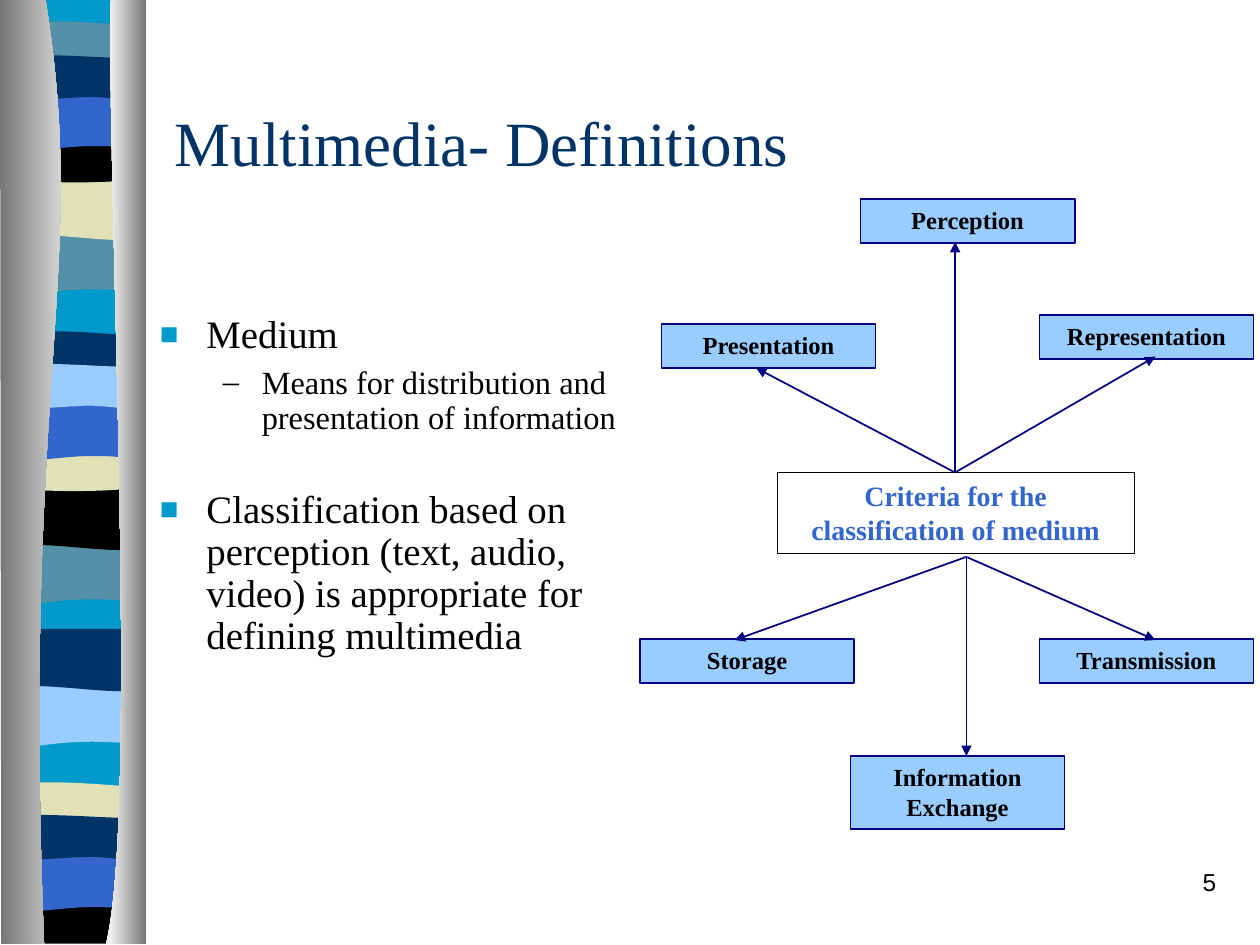
"""Build the Multimedia Definitions slide with its ribbon border and medium diagram."""
from lxml import etree
from pptx import Presentation
from pptx.dml.color import RGBColor
from pptx.enum.shapes import MSO_CONNECTOR, MSO_SHAPE
from pptx.enum.text import MSO_ANCHOR, PP_ALIGN
from pptx.oxml.ns import qn
from pptx.util import Inches, Pt

RECTANGLE = MSO_SHAPE.RECTANGLE
STRAIGHT = MSO_CONNECTOR.STRAIGHT
MIDDLE, TOP = MSO_ANCHOR.MIDDLE, MSO_ANCHOR.TOP
LEFT, CENTER, RIGHT = PP_ALIGN.LEFT, PP_ALIGN.CENTER, PP_ALIGN.RIGHT

THEME = {
    "serif": "Times New Roman", "sans": "Arial",
    "title": 36, "body": 22.2, "detail": 18.5, "criteria": 16, "label": 14,
    "cyan": "0099CC", "teal": "5490A8", "sand": "E1E1B7", "black": "000000",
    "blue": "3366CC", "navy": "003366", "sky": "99CCFF", "white": "FFFFFF",
    "grey": "767676", "outline": "000080",
}
COLORS = {name: RGBColor.from_string(value) for name, value in THEME.items()
          if isinstance(value, str) and len(value) == 6}


def write(para, text, size, color, face="serif", bold=False, **layout):
    span = para.add_run()
    span.text = text
    style = {"size": Pt(THEME[size]), "name": THEME[face], "bold": bold}
    for name, value in style.items():
        setattr(span.font, name, value)
    span.font.color.rgb = COLORS[color]
    for name, value in layout.items():
        setattr(para, name, value)


def draw_outline(page, steps, left, top):
    points = [step[i:i + 2] for step in steps for i in range(0, len(step), 2)]
    placed = [(Inches(left + x), Inches(top + y)) for x, y in points]
    builder = page.shapes.build_freeform(*placed[0])
    builder.add_line_segments(placed[1:], close=True)
    shape = builder.convert_to_shape()
    shape.shadow.inherit = False
    shape.line.fill.background()
    segments = iter(list(shape._element.iter(qn("a:lnTo"))))
    for step in steps[1:]:
        segment = next(segments)
        if len(step) == 6:
            segment.tag = qn("a:cubicBezTo")
            for _ in range(2):
                extra = next(segments)
                segment.append(extra[0])
                extra.getparent().remove(extra)
    return shape


deck = Presentation()
deck.slide_width, deck.slide_height = Inches(10), Inches(7.5)
page = deck.slides.add_slide(deck.slide_layouts[6])

PROFILES = {
    "plain": [(1.08, 0), (1.08, 7.48), (0, 7.48), (0, 0), (1.08, 0)],
    "wave": [(1.08, 0), (1.08, 0, 1.08, 0.47, 1.08, 0.47),
             (0.33, 0.39, 0.18, 0.55, 0, 0.47), (0, 0), (1.08, 0)],
    "swell": [(1.08, 0), (1.08, 0.47), (0.9, 0.55, 0.33, 0.41, 0, 0.47), (0, 0), (1.08, 0)],
    "lens": [(1.08, 0.05), (1.08, 0.29), (0.9, 0.33, 0.18, 0.33, 0, 0.29), (0, 0.05),
             (0.07, 0, 0.23, 0.01, 0.41, 0.01), (0.59, 0.01, 0.94, 0.04, 1.08, 0.05)],
    "sag": [(1.08, 0), (1.08, 0.33), (0.9, 0.38, 0.18, 0.38, 0, 0.33), (0, 0),
            (0.66, 0.05, 0.85, 0, 1.08, 0)],
    "arch": [(1.08, 0), (1.08, 0, 1.08, 0.47, 1.08, 0.47),
             (0.91, 0.42, 0.84, 0.42, 0.66, 0.42),
             (0.48, 0.42, 0.16, 0.47, 0, 0.47), (0, 0), (1.08, 0)],
    "ripple": [(1.08, 0.05), (1.08, 0.36), (1.01, 0.41, 0.84, 0.36, 0.66, 0.36),
               (0.48, 0.36, 0.11, 0.41, 0, 0.36), (0, 0.05),
               (0.15, 0, 0.73, 0.05, 0.91, 0.05), (1.09, 0.05, 1.04, 0.05, 1.08, 0.05)],
    "foot": [(1.08, 0), (1.09, 0.37), (0.02, 0.37), (0, 0), (0.67, 0.05, 0.86, 0, 1.08, 0)],
}
BANDS = {
    0.06: [("plain", -0.01, "cyan"),
           ("wave", 1.85, "teal"), ("swell", 1.41, "sand"), ("lens", 0.16, "teal"),
           ("sag", 1.08, "black"), ("arch", 0.74, "blue"), ("ripple", 0.41, "navy")],
    0.05: [("wave", 4.31, "teal"), ("swell", 3.87, "black"), ("lens", 2.62, "navy"),
           ("sag", 3.53, "sand"), ("arch", 3.2, "blue"), ("ripple", 2.86, "sky"),
           ("wave", 5.44, "sky"), ("swell", 4.99, "navy"), ("lens", 6.2, "sand"),
           ("foot", 7.12, "black"), ("arch", 6.78, "blue"), ("ripple", 6.44, "navy")],
}
for left, bands in BANDS.items():
    for profile, top, color in bands:
        band = draw_outline(page, PROFILES[profile], left, top)
        band.fill.solid()
        band.fill.fore_color.rgb = COLORS[color]

EDGES = [
    ([(0.36, 0), (0.71, 2.17, 0.17, 2.97, 0.35, 7.5), (0.01, 7.5), (0, 0), (0.36, 0)],
     "grey", "white"),
    ([(0.88, 0), (0.84, 1.26, 1.11, 6.47, 0.84, 7.5), (1.16, 7.5), (1.16, 0), (0.88, 0)],
     "white", "grey"),
]
for steps, *colors in EDGES:
    edge = draw_outline(page, steps, 0, -0.01)
    edge.fill.gradient()
    edge.fill.gradient_angle = 0
    for stop, color in zip(edge.fill.gradient_stops, colors):
        stop.color.rgb = COLORS[color]

TEXT_BOXES = [
    ((7.67, 6.83, 2.08, 0.5), TOP, RIGHT, "5", "label", "black", "sans"),
    ((1.29, 0.5, 8.5, 1.25), MIDDLE, LEFT, "Multimedia- Definitions", "title", "navy", "serif"),
]
for bounds, anchor, align, text, size, color, face in TEXT_BOXES:
    frame = page.shapes.add_textbox(*map(Inches, bounds)).text_frame
    frame.word_wrap, frame.vertical_anchor = True, anchor
    write(frame.paragraphs[0], text, size, color, face, alignment=align)

body = page.shapes.add_textbox(*map(Inches, (1.17, 2, 4, 4.42))).text_frame
body.word_wrap, body.margin_top = True, Inches(0.5)
LEVELS = [("body", 0.37, -0.37, "■", "cyan", 80), ("detail", 0.81, -0.31, "–", "black", 100)]
ITEMS = [
    (0, 0, "Medium"),
    (1, 5.5, "Means for distribution and presentation of information"),
    (0, 30.5, "Classification based on perception (text, audio, video) "
              "is appropriate for defining multimedia"),
]
for index, (level, gap, text) in enumerate(ITEMS):
    size, margin, indent, mark, color, percent = LEVELS[level]
    para = body.add_paragraph() if index else body.paragraphs[0]
    write(para, text, size, "black", level=level, line_spacing=0.9, space_before=Pt(gap))
    properties = para._p.get_or_add_pPr()
    properties.set("marL", str(Inches(margin)))
    properties.set("indent", str(Inches(indent)))
    bullet_color = etree.SubElement(properties, qn("a:buClr"))
    etree.SubElement(bullet_color, qn("a:srgbClr"), val=THEME[color])
    etree.SubElement(properties, qn("a:buSzPct"), val=str(percent * 1000))
    etree.SubElement(properties, qn("a:buFont"), typeface=THEME["serif"])
    etree.SubElement(properties, qn("a:buChar"), char=mark)

MEDIUM_BOX = ("label", "black", "sky", "outline", 1)
BOXES = [
    ("Criteria for the classification of medium", (6.17, 3.75, 2.83, 0.64),
     ("criteria", "blue", "white", "black", 0.25)),
    ("Storage", (5.08, 5.07, 1.7, 0.35), MEDIUM_BOX),
    ("Presentation", (5.25, 2.57, 1.7, 0.35), MEDIUM_BOX),
    ("Representation", (8.25, 2.5, 1.7, 0.35), MEDIUM_BOX),
    ("Perception", (6.83, 1.58, 1.7, 0.35), MEDIUM_BOX),
    ("Information Exchange", (6.75, 6, 1.7, 0.58), MEDIUM_BOX),
    ("Transmission", (8.25, 5.07, 1.7, 0.35), MEDIUM_BOX),
]
for text, bounds, (size, color, fill, border, width) in BOXES:
    box = page.shapes.add_shape(RECTANGLE, *map(Inches, bounds))
    box.shadow.inherit = False
    box.fill.solid()
    box.fill.fore_color.rgb = COLORS[fill]
    box.line.color.rgb, box.line.width = COLORS[border], Pt(width)
    box.text_frame.word_wrap, box.text_frame.vertical_anchor = True, TOP
    write(box.text_frame.paragraphs[0], text, size, color, bold=True, alignment=CENTER)

ARROWS = {
    (7.58, 3.75): [(7.58, 1.92), (9.17, 2.83), (6, 2.92)],
    (7.67, 4.42): [(7.67, 6), (9.17, 5.08), (5.83, 5.08)],
}
for start, ends in ARROWS.items():
    for end in ends:
        arrow = page.shapes.add_connector(STRAIGHT, *map(Inches, start + end))
        arrow.line.color.rgb, arrow.line.width = COLORS["outline"], Pt(1)
        etree.SubElement(arrow.line._get_or_add_ln(), qn("a:tailEnd"), type="triangle")
        etree.SubElement(arrow._element.spPr, qn("a:effectLst"))

deck.save("out.pptx")
